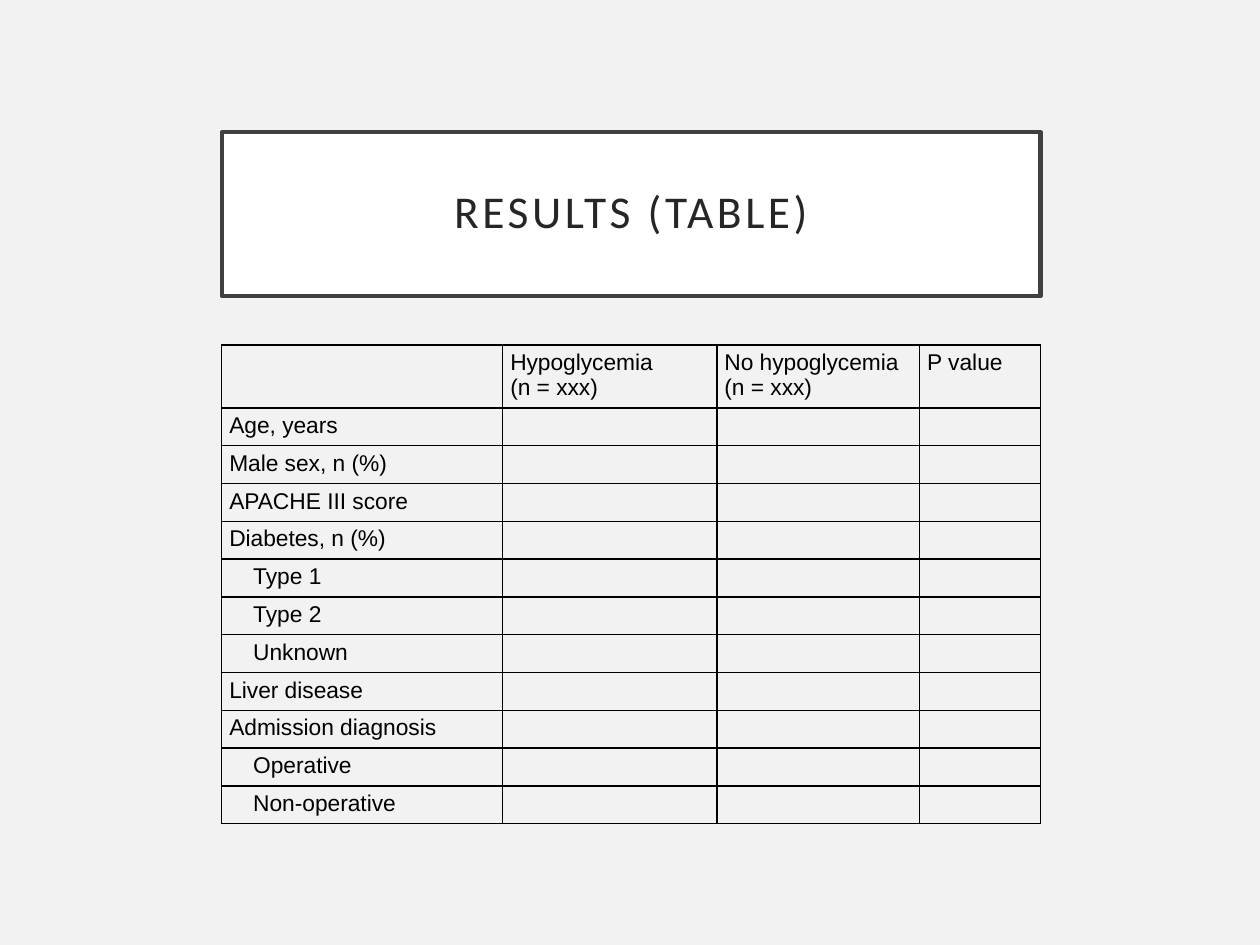
import pptx
import pptx.util
import pptx.dml.color
import pptx.enum.shapes
import pptx.enum.text
import pptx.oxml.ns
from lxml import etree

RGB = pptx.dml.color.RGBColor
BACKGROUND = RGB(0xF2, 0xF2, 0xF2)
WHITE = RGB(0xFF, 0xFF, 0xFF)
FRAME = RGB(0x40, 0x40, 0x40)
TITLE_INK = RGB(0x26, 0x26, 0x26)
BLACK = RGB(0, 0, 0)

Inches = pptx.util.Inches
Pt = pptx.util.Pt
qn = pptx.oxml.ns.qn
PP_ALIGN = pptx.enum.text.PP_ALIGN
MIDDLE = pptx.enum.text.MSO_ANCHOR.MIDDLE

SLIDE_W, SLIDE_H = 10, 7.5
LEFT, WIDTH = 0.176 * SLIDE_W, 0.65 * SLIDE_W
TITLE_BOX = (LEFT, 0.14 * SLIDE_H, WIDTH, 1.3)
TABLE_BOX = (LEFT, 0.365 * SLIDE_H, WIDTH, 3.69)
COLUMN_SHARES = (2.23, 1.7, 1.61, 0.96)
HEADER_H = 0.5
CELL_SIZE = 13

HEADERS = ("", "Hypoglycemia\n(n = xxx)", "No hypoglycemia\n(n = xxx)", "P value")
# Row label and whether it is a subcategory
ROWS = (
    ("Age, years", False),
    ("Male sex, n (%)", False),
    ("APACHE III score", False),
    ("Diabetes, n (%)", False),
    ("Type 1", True),
    ("Type 2", True),
    ("Unknown", True),
    ("Liver disease", False),
    ("Admission diagnosis", False),
    ("Operative", True),
    ("Non-operative", True),
)


def write_text(tf, text, size, font, color, align=PP_ALIGN.LEFT,
               line_spacing=None, tracking=0, indent=0):
    """Write one paragraph per line; an empty line keeps the text size."""
    for i, line in enumerate(text.split("\n")):
        p = tf.paragraphs[0] if i == 0 else tf.add_paragraph()
        p.alignment = align
        if line_spacing:
            p.line_spacing = line_spacing
        if indent:
            pPr = p._p.get_or_add_pPr()
            pPr.set("marL", "0")
            pPr.set("indent", str(Inches(indent)))
        if not line:
            etree.SubElement(p._p, qn("a:endParaRPr")).set("sz", str(size * 100))
            continue
        r = p.add_run()
        r.text = line
        r.font.size, r.font.name = Pt(size), font
        r.font.color.rgb = color
        if tracking:
            r._r.get_or_add_rPr().set("spc", str(tracking * 100))


def set_borders(cell, color, width):
    """Draw a solid line on all four sides, placed before the cell's fill."""
    tcPr = cell._tc.get_or_add_tcPr()
    for i, side in enumerate(("a:lnL", "a:lnR", "a:lnT", "a:lnB")):
        ln = etree.Element(qn(side), w=str(Pt(width)))
        fill = etree.SubElement(ln, qn("a:solidFill"))
        etree.SubElement(fill, qn("a:srgbClr")).set("val", str(color))
        tcPr.insert(i, ln)


def add_title(slide, box):
    sp = slide.shapes.add_shape(pptx.enum.shapes.MSO_SHAPE.RECTANGLE,
                                *map(Inches, box))
    sp.shadow.inherit = False
    sp.fill.solid()
    sp.fill.fore_color.rgb = WHITE
    sp.line.color.rgb = FRAME
    sp.line.width = Pt(2.5)
    tf = sp.text_frame
    tf.word_wrap = True
    tf.vertical_anchor = MIDDLE
    tf.margin_left = tf.margin_right = Inches(0.2)
    tf.margin_top = tf.margin_bottom = Inches(0.2)
    write_text(tf, "RESULTS (TABLE)", 26, "Calibri", TITLE_INK,
               align=PP_ALIGN.CENTER, line_spacing=0.9, tracking=2)


def add_results_table(slide, box):
    width, height = box[2:]
    table = slide.shapes.add_table(len(ROWS) + 1, len(HEADERS),
                                   *map(Inches, box)).table
    table.first_row = table.horz_banding = False
    for column, share in zip(table.columns, COLUMN_SHARES):
        column.width = Inches(width * share / sum(COLUMN_SHARES))
    row_h = (height - HEADER_H) / len(ROWS)
    for i, row in enumerate(table.rows):
        row.height = Inches(row_h if i else HEADER_H)

    # Headers first, then a label and empty values in each row
    blanks = ("",) * (len(HEADERS) - 1)
    lines = [(HEADERS, False)] + [((label,) + blanks, sub) for label, sub in ROWS]
    for i, (texts, sub) in enumerate(lines):
        for j, text in enumerate(texts):
            cell = table.cell(i, j)
            cell.fill.background()
            cell.margin_left = cell.margin_right = Inches(0.06)
            cell.margin_top = cell.margin_bottom = Inches(0.04)
            set_borders(cell, BLACK, 1)
            write_text(cell.text_frame, text, CELL_SIZE, "Arial", BLACK,
                       indent=0.19 if sub and j == 0 else 0)


def main():
    prs = pptx.Presentation()
    prs.slide_width, prs.slide_height = Inches(SLIDE_W), Inches(SLIDE_H)
    s = prs.slides.add_slide(prs.slide_layouts[6])
    s.background.fill.solid()
    s.background.fill.fore_color.rgb = BACKGROUND
    add_title(s, TITLE_BOX)
    add_results_table(s, TABLE_BOX)
    prs.save("out.pptx")


if __name__ == "__main__":
    main()
